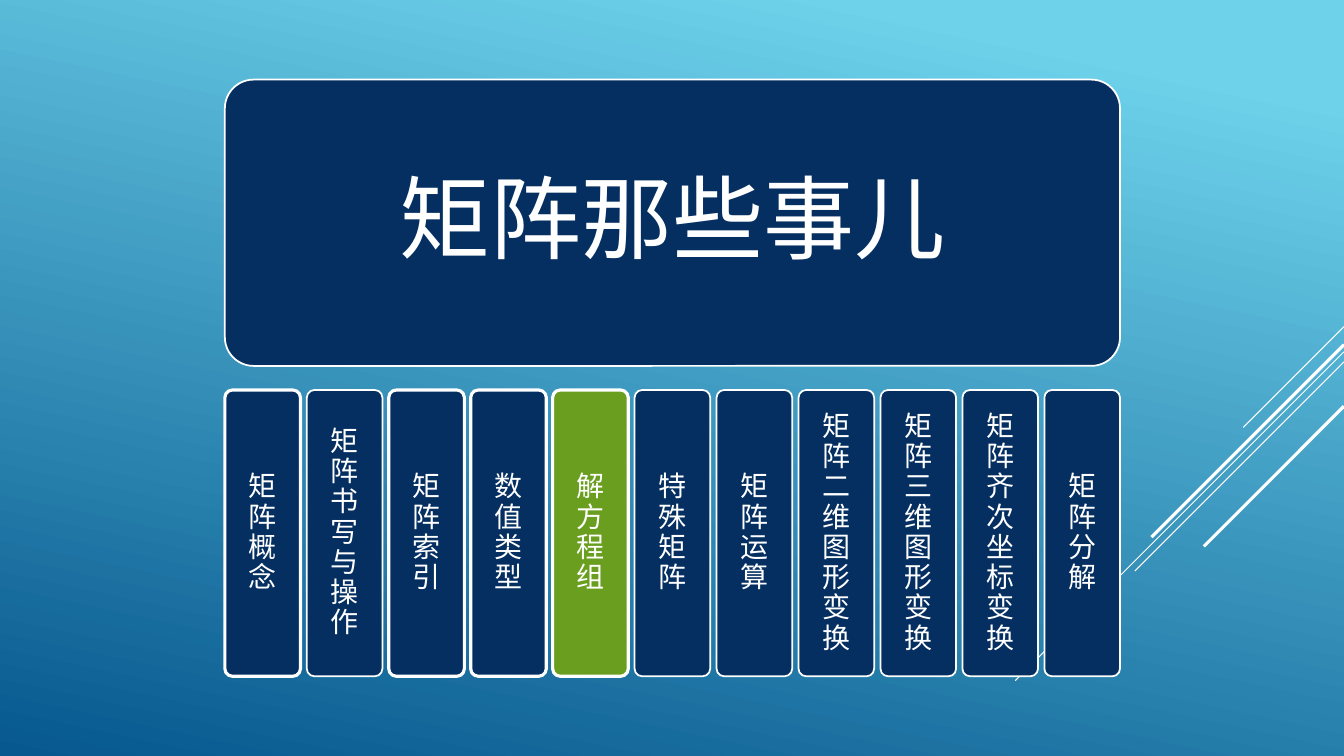
from dataclasses import dataclass

from lxml.etree import SubElement
from pptx import Presentation
from pptx.dml.color import RGBColor as Rgb
from pptx.enum.shapes import MSO_CONNECTOR as Connector, MSO_SHAPE as Shape
from pptx.enum.text import MSO_ANCHOR as Anchor, PP_ALIGN as Align
from pptx.oxml.ns import qn
from pptx.util import Pt


@dataclass(frozen=True)
class Theme:
    """Colours, font and type sizes of the slide."""
    sky: Rgb = Rgb(0x6E, 0xD2, 0xEB)
    deep: Rgb = Rgb(0x06, 0x58, 0x8E)
    navy: Rgb = Rgb(0x05, 0x2F, 0x61)
    green: Rgb = Rgb(0x6A, 0x9E, 0x1F)
    white: Rgb = Rgb(0xFF, 0xFF, 0xFF)
    font: str = "TeX Gyre Adventor"
    title_size: float = 65
    topic_size: float = 20
    hairline: float = 0.75
    thin: float = 1.25
    thick: float = 2.25


THEME = Theme()
PAGE_WIDTH, PAGE_HEIGHT = 960, 540
LEFT, WIDTH = 160.6, 639.4
TITLE_TOP, TOPICS_TOP, BOX_HEIGHT = 56.9, 278.6, 204.5
TOPIC_WIDTH = 54

TITLE = "矩阵那些事儿"
TOPICS = ["矩阵概念", "矩阵书写与操作", "矩阵索引", "数值类型", "解方程组", "特殊矩阵",
          "矩阵运算", "矩阵二维图形变换", "矩阵三维图形变换", "矩阵齐次坐标变换", "矩阵分解"]
CURRENT = "解方程组"
THICK_TOPICS = {"矩阵概念", "矩阵索引", "数值类型", CURRENT}

# Height on the right edge, horizontal reach, line weight
RAYS = [
    (233.3, 72, THEME.hairline),
    (251.3, 234.8, THEME.hairline),
    (258.5, 149.4, THEME.hairline),
    (246.2, 137.5, THEME.thick),
    (290.2, 100.1, THEME.thick),
]


def paint_background(page):
    """Fill the page with the slanted blue gradient."""
    fill = page.background.fill
    fill.gradient()
    fill.gradient_angle = 360 - 102
    stops = zip(fill.gradient_stops, (0.1, 1), (THEME.sky, THEME.deep))
    for stop, position, color in stops:
        stop.position = position
        stop.color.rgb = color


def add_ray(page, top, reach, weight):
    """Draw a 45-degree line going down and left from the right edge."""
    ray = page.shapes.add_connector(
        Connector.STRAIGHT, Pt(PAGE_WIDTH), Pt(top),
        Pt(PAGE_WIDTH - reach), Pt(top + reach))
    ray.line.color.rgb = THEME.white
    ray.line.width = Pt(weight)
    SubElement(ray.element.spPr, qn("a:effectLst"))


def add_box(page, left, top, width, text, size, inset,
            color=THEME.navy, weight=THEME.thin):
    """Add a rounded box with centred white text."""
    box = page.shapes.add_shape(Shape.ROUNDED_RECTANGLE, Pt(left), Pt(top),
                                Pt(width), Pt(BOX_HEIGHT))
    box.adjustments[0] = 0.1
    box.shadow.inherit = False
    box.fill.solid()
    box.fill.fore_color.rgb = color
    box.line.color.rgb = THEME.white
    box.line.width = Pt(weight)

    frame = box.text_frame
    frame.word_wrap = True
    frame.vertical_anchor = Anchor.MIDDLE
    frame.margin_left = frame.margin_right = Pt(inset)
    frame.margin_top = frame.margin_bottom = Pt(inset)
    para = frame.paragraphs[0]
    para.alignment = Align.CENTER
    para.line_spacing = 0.9
    span = para.add_run()
    span.text = text
    span.font.name = THEME.font
    span.font.size = Pt(size)
    span.font.color.rgb = THEME.white


def add_topics(page):
    """Spread the topic boxes evenly under the title, one character per line."""
    pitch = (WIDTH - TOPIC_WIDTH) / (len(TOPICS) - 1)
    for index, topic in enumerate(TOPICS):
        add_box(page, LEFT + index * pitch, TOPICS_TOP, TOPIC_WIDTH,
                topic, THEME.topic_size, inset=7.5,
                color=THEME.green if topic == CURRENT else THEME.navy,
                weight=THEME.thick if topic in THICK_TOPICS else THEME.thin)


def main():
    """Build the slide and save the deck."""
    deck = Presentation()
    deck.slide_width, deck.slide_height = Pt(PAGE_WIDTH), Pt(PAGE_HEIGHT)
    page = deck.slides.add_slide(deck.slide_layouts[6])
    paint_background(page)
    for ray in RAYS:
        add_ray(page, *ray)
    add_box(page, LEFT, TITLE_TOP, WIDTH, TITLE, THEME.title_size, inset=20)
    add_topics(page)
    deck.save("out.pptx")


main()
